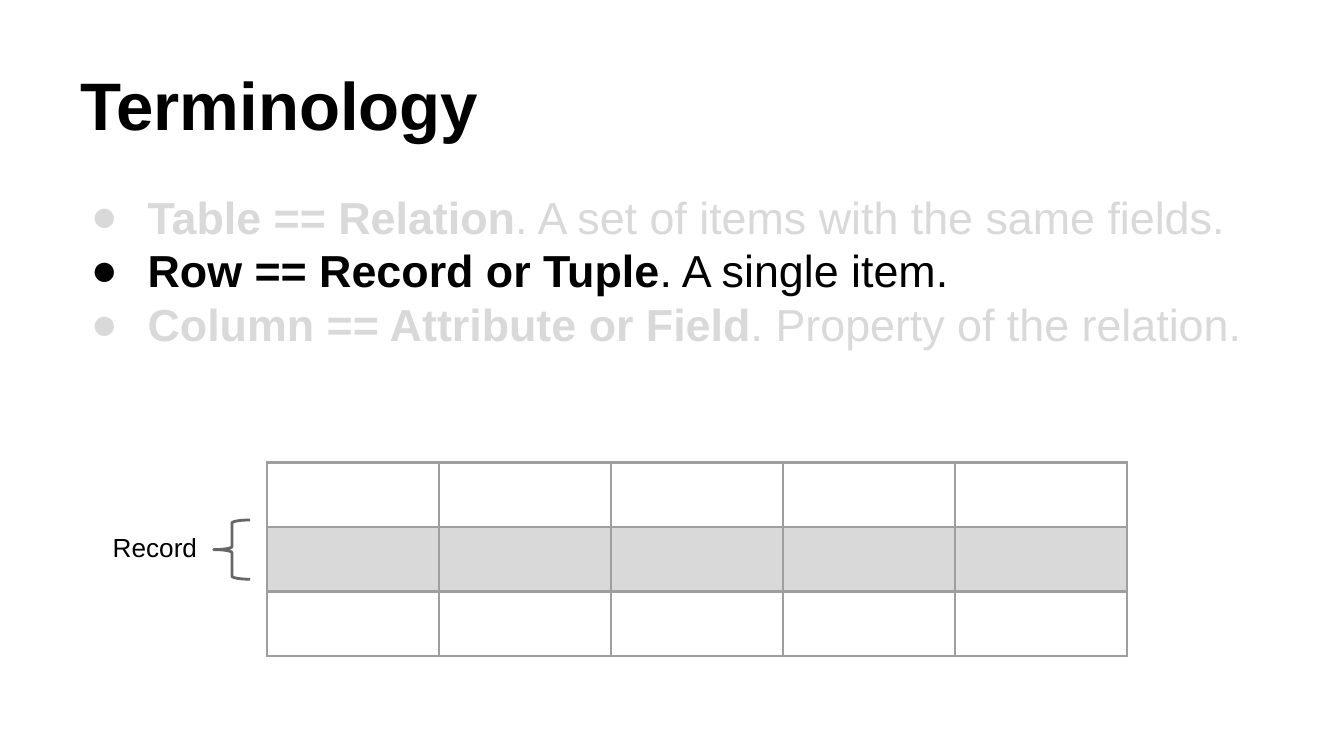
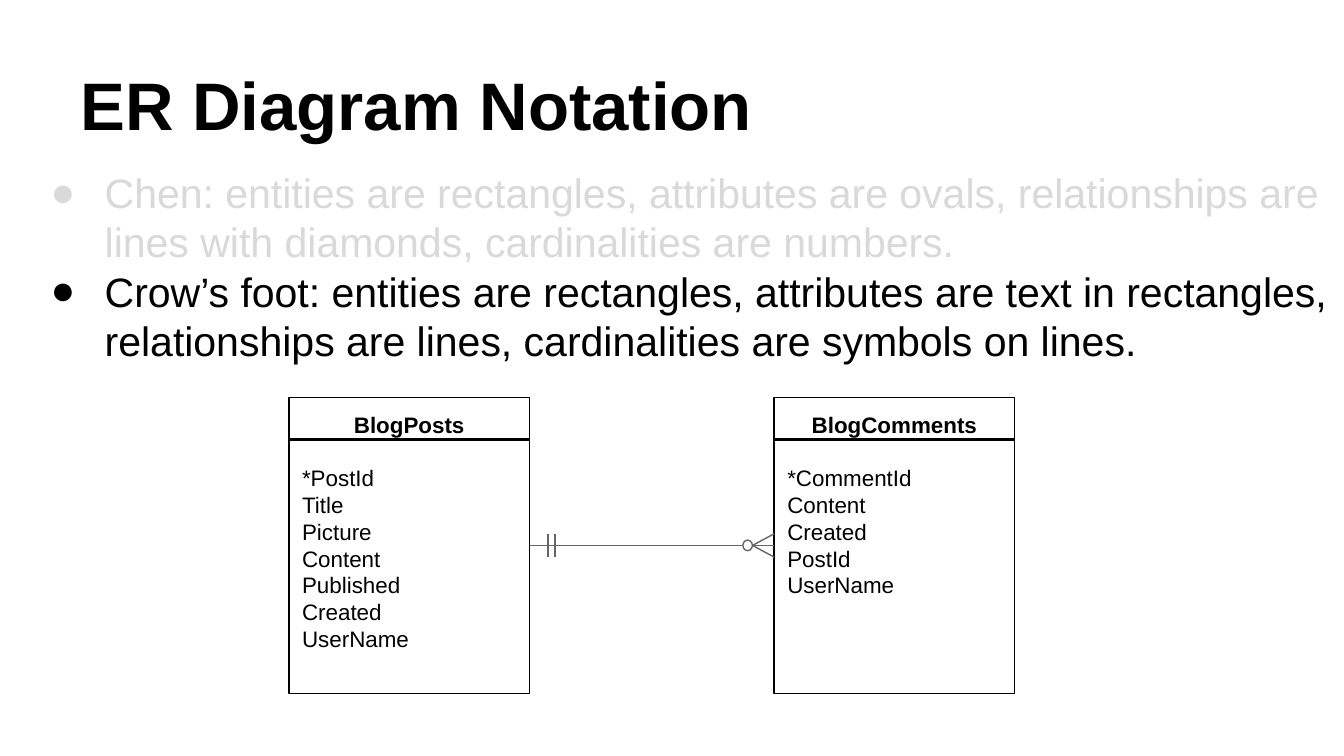
"""Build two slides on relational terms and ER diagram notation."""
from dataclasses import dataclass

from lxml import etree
from pptx import Presentation
from pptx.dml.color import RGBColor
from pptx.enum.shapes import MSO_CONNECTOR, MSO_SHAPE
from pptx.enum.text import MSO_ANCHOR, PP_ALIGN
from pptx.oxml import parse_xml
from pptx.oxml.ns import nsdecls, qn
from pptx.util import Cm, Pt

LINE = MSO_CONNECTOR.STRAIGHT
RECT, OVAL, BRACE = MSO_SHAPE.RECTANGLE, MSO_SHAPE.OVAL, MSO_SHAPE.LEFT_BRACE
TOP, BASE = MSO_ANCHOR.TOP, MSO_ANCHOR.BOTTOM
LEFT, MID = PP_ALIGN.LEFT, PP_ALIGN.CENTER
EAST, WEST = 3, 1


@dataclass(frozen=True)
class Theme:
    font: str = "Arial"
    ink: str = "000000"
    faint: str = "D9D9D9"
    mark: str = "666666"
    grid: str = "9E9E9E"
    paper: str = "FFFFFF"
    title: int = 36
    large: int = 24
    body: int = 22
    label: int = 14
    small: int = 12
    thin: float = 0.75
    thick: float = 1.5


def rgb(code):
    return RGBColor.from_string(code)


def write(para, text, *, font, size, color, bold=False, align=LEFT):
    para.alignment = align
    run = para.add_run()
    run.text = text
    run.font.name, run.font.size = font, Pt(size)
    run.font.bold = bold
    run.font.color.rgb = rgb(color)


class Deck:
    def __init__(self, theme):
        self.theme = theme
        self.deck = Presentation()
        self.deck.slide_width, self.deck.slide_height = Cm(25.4), Cm(14.29)
        self.slide = None

    def frame(self, shape, anchor=TOP):
        frame = shape.text_frame
        frame.word_wrap = True
        frame.vertical_anchor = anchor
        frame.margin_left = frame.margin_right = Cm(0.25)
        frame.margin_top = frame.margin_bottom = Cm(0.25)
        return frame

    def page(self, title):
        look = self.theme
        self.slide = self.deck.slides.add_slide(self.deck.slide_layouts[5])
        fill = self.slide.background.fill
        fill.solid()
        fill.fore_color.rgb = rgb(look.paper)
        head = self.slide.shapes.title
        head.left, head.top = Cm(1.27), Cm(0.58)
        head.width, head.height = Cm(22.86), Cm(2.39)
        write(self.frame(head, BASE).paragraphs[0], title, font=look.font,
              size=look.title, color=look.ink, bold=True)

    def text(self, box, text, size):
        area = self.slide.shapes.add_textbox(*map(Cm, box))
        write(self.frame(area).paragraphs[0], text, font=self.theme.font,
              size=size, color=self.theme.ink)

    def list(self, box, items, size, hang):
        area = self.slide.shapes.add_textbox(*map(Cm, box))
        frame = self.frame(area)
        for i, (term, rest, color) in enumerate(items):
            para = frame.add_paragraph() if i else frame.paragraphs[0]
            props = para._p.get_or_add_pPr()
            props.set("marL", str(Cm(1.27)))
            props.set("indent", str(-Cm(hang)))
            tint = etree.SubElement(props, qn("a:buClr"))
            etree.SubElement(tint, qn("a:srgbClr"), val=color)
            etree.SubElement(props, qn("a:buFont"), typeface=self.theme.font)
            etree.SubElement(props, qn("a:buChar"), char="●")
            for part, bold in ((term, True), (rest, False)):
                if part:
                    write(para, part, font=self.theme.font, size=size,
                          color=color, bold=bold)

    def shape(self, kind, box, color, width, fill=None):
        shape = self.slide.shapes.add_shape(kind, *map(Cm, box))
        shape.shadow.inherit = False
        if fill:
            shape.fill.solid()
            shape.fill.fore_color.rgb = rgb(fill)
        else:
            shape.fill.background()
        shape.line.color.rgb = rgb(color)
        shape.line.width = Pt(width)
        return shape

    def line(self, start, end, color, width):
        line = self.slide.shapes.add_connector(LINE, *map(Cm, start + end))
        line.line.color.rgb = rgb(color)
        line.line.width = Pt(width)
        etree.SubElement(line._element.spPr, qn("a:effectLst"))
        return line

    def table(self, left, top, size, cell, shade):
        rows, cols = size
        wide, high = cell
        table = self.slide.shapes.add_table(
            rows, cols, Cm(left), Cm(top), Cm(wide * cols), Cm(high * rows)).table
        table.first_row = table.horz_banding = False
        for col in table.columns:
            col.width = Cm(wide)
        for i, row in enumerate(table.rows):
            row.height = Cm(high)
            for box in row.cells:
                self.edge(box)
                if i == shade:
                    box.fill.solid()
                    box.fill.fore_color.rgb = rgb(self.theme.faint)
                else:
                    box.fill.background()

    def edge(self, cell):
        props = cell._tc.get_or_add_tcPr()
        for side in ("lnL", "lnR", "lnT", "lnB"):
            props.append(parse_xml(
                f'<a:{side} {nsdecls("a")} w="{Pt(self.theme.thick)}"><a:solidFill>'
                f'<a:srgbClr val="{self.theme.grid}"/></a:solidFill></a:{side}>'))

    def entity(self, left, top, name, fields):
        look = self.theme
        wide, high, head = 4.55, 5.59, 0.79
        box = self.shape(RECT, (left, top, wide, high), look.ink, look.thin)
        frame = self.frame(box)
        style = dict(font=look.font, size=look.small, color=look.ink)
        write(frame.paragraphs[0], name, bold=True, align=MID, **style)
        for i, field in enumerate(fields):
            para = frame.add_paragraph()
            if i == 0:
                para.space_before = Pt(14)
            write(para, field, **style)
        self.line((left, top + head), (left + wide, top + head),
                  look.ink, look.thick)
        return box

    def link(self, one, many, start, end, y):
        look = self.theme
        pen = (look.mark, look.thin)
        half = 0.22
        line = self.line((start, y), (end, y), *pen)
        line.begin_connect(one, EAST)
        line.end_connect(many, WEST)
        for x in (start + 0.35, start + 0.48):
            self.line((x, y - half), (x, y + half), *pen)
        for side in (-half, half):
            self.line((end, y + side), (end - 0.41, y), *pen)
        self.shape(OVAL, (end - 0.59, y - 0.1, 0.18, 0.2), *pen, look.paper)


def terms(deck):
    look = deck.theme
    deck.page("Terminology")
    deck.list((1.27, 3.33, 22.86, 10.34), [
        ("Table == Relation", ". A set of items with the same fields.", look.faint),
        ("Row == Record or Tuple", ". A single item.", look.ink),
        ("Column == Attribute or Field", ". Property of the relation.", look.faint),
    ], look.large, 1.07)
    deck.table(5.05, 8.74, (3, 5), (3.25, 1.22), shade=1)
    deck.shape(BRACE, (4.04, 9.83, 0.69, 1.12), look.mark, look.thick)
    deck.text((1.88, 9.8, 2.67, 1.12), "Record", look.label)


def notes(deck):
    look = deck.theme
    deck.page("ER Diagram Notation")
    deck.list((0.46, 2.92, 24.94, 4.6), [
        ("", "Chen: entities are rectangles, attributes are ovals, relationships are "
         "lines with diamonds, cardinalities are numbers.", look.faint),
        ("", "Crow’s foot: entities are rectangles, attributes are text in rectangles, "
         "relationships are lines, cardinalities are symbols on lines.", look.ink),
    ], look.body, 1.02)
    posts = deck.entity(5.46, 7.52, "BlogPosts", [
        "*PostId", "Title", "Picture", "Content", "Published", "Created", "UserName"])
    talks = deck.entity(14.63, 7.52, "BlogComments", [
        "*CommentId", "Content", "Created", "PostId", "UserName"])
    deck.link(posts, talks, 10.01, 14.63, 10.31)


def main():
    deck = Deck(Theme())
    terms(deck)
    notes(deck)
    deck.deck.save("out.pptx")


if __name__ == "__main__":
    main()
